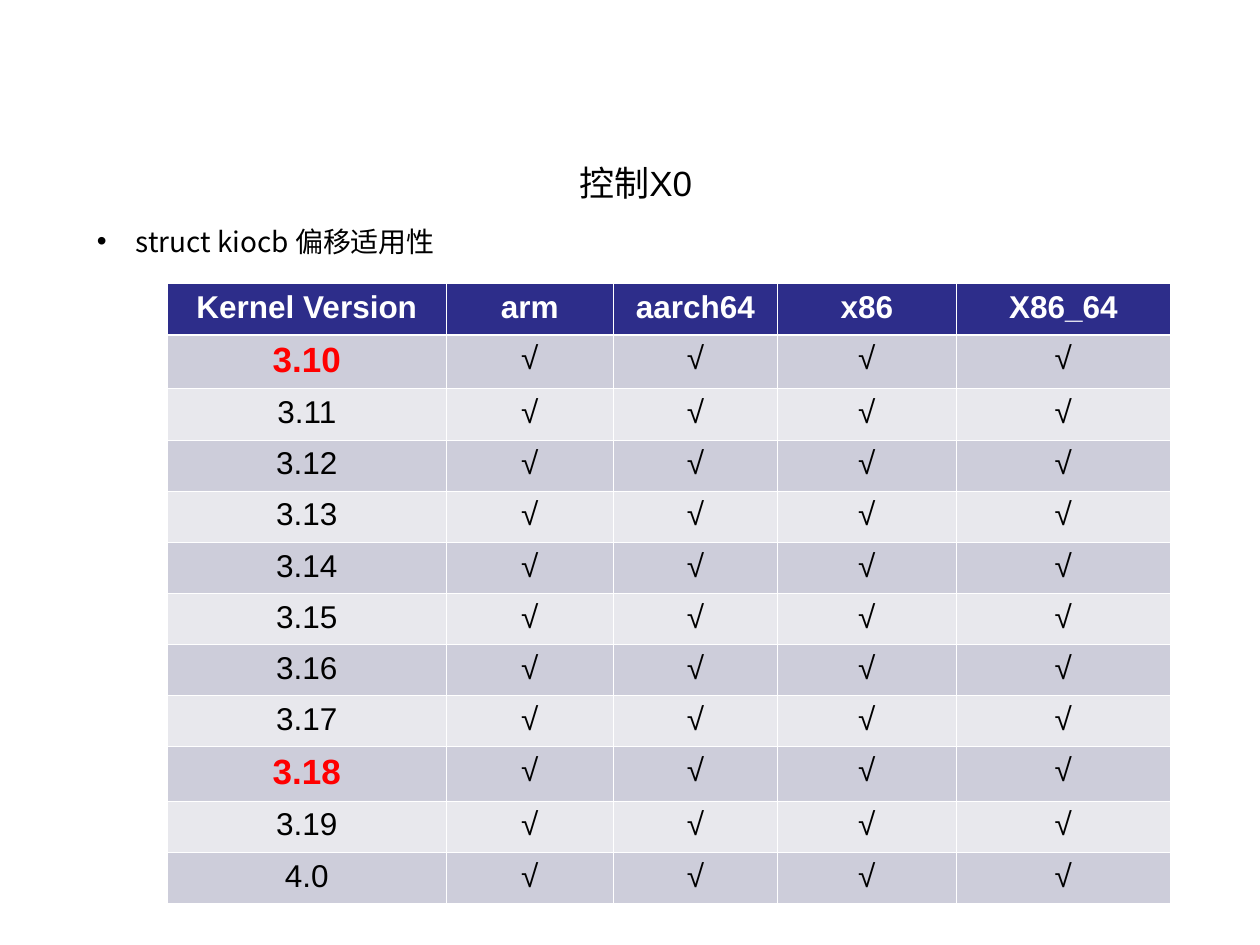
from lxml.etree import SubElement
from pptx import Presentation
from pptx.dml.color import RGBColor
from pptx.enum.text import PP_ALIGN
from pptx.oxml.ns import qn
from pptx.util import Inches, Pt

LATIN_FONT = "Arial"
CHINESE_FONT = "Noto Sans CJK SC"
BLACK, WHITE, RED = "000000", "FFFFFF", "FF0000"
HEADER_FILL, BAND_FILLS = "2D2D8A", ("CDCDDA", "E8E8ED")

HEADERS = ["Kernel Version", "arm", "aarch64", "x86", "X86_64"]
VERSIONS = [f"3.{minor}" for minor in range(10, 20)] + ["4.0"]
HIGHLIGHTED = {"3.10", "3.18"}
COLUMN_WIDTHS = [2.21, 1.33, 1.3, 1.42, 1.7]
HIGHLIGHTED_HEIGHT = 0.43


def rgb(color):
    return RGBColor.from_string(color)


def format_paragraph(paragraph, size, color=BLACK, bold=False, font=LATIN_FONT):
    for run in paragraph.runs:
        run.font.size = Pt(size)
        run.font.bold = bold
        run.font.name = font
        run.font.color.rgb = rgb(color)
        east_asian = SubElement(run.font._element, qn("a:ea"))
        east_asian.set("typeface", CHINESE_FONT)


def add_text(slide, box, text):
    """Add a one-paragraph text box and return its paragraph."""
    text_frame = slide.shapes.add_textbox(*map(Inches, box)).text_frame
    text_frame.word_wrap = True
    text_frame.text = text
    return text_frame.paragraphs[0]


def add_title(slide, box):
    paragraph = add_text(slide, box, "控制X0")
    paragraph.alignment = PP_ALIGN.CENTER
    format_paragraph(paragraph, 20)


def add_bullet(slide, box):
    paragraph = add_text(slide, box, "struct kiocb 偏移适用性")
    format_paragraph(paragraph, 16, font=CHINESE_FONT)
    properties = paragraph._p.get_or_add_pPr()
    indent = Inches(0.31)
    properties.set("marL", str(indent))
    properties.set("indent", str(-indent))
    SubElement(properties, qn("a:buFont")).set("typeface", LATIN_FONT)
    SubElement(properties, qn("a:buChar")).set("char", "•")


def set_borders(cell, top, bottom):
    """Draw white cell borders; top and bottom are widths in points."""
    properties = cell._tc.get_or_add_tcPr()
    widths = {"a:lnL": 0.45, "a:lnR": 0.45, "a:lnT": top, "a:lnB": bottom}
    for position, (tag, width) in enumerate(widths.items()):
        line = properties.makeelement(qn(tag), {"w": str(Pt(width))})
        fill = SubElement(line, qn("a:solidFill"))
        SubElement(fill, qn("a:srgbClr")).set("val", WHITE)
        properties.insert(position, line)


def fill_row(table, row, texts, fill, first_style, style):
    """Write one row; the first cell may have a text style of its own."""
    for column, text in enumerate(texts):
        cell = table.cell(row, column)
        cell.text = text
        cell.fill.solid()
        cell.fill.fore_color.rgb = rgb(fill)
        set_borders(cell, 1.47 if row == 1 else 0.45, 1.47 if row == 0 else 0.45)
        paragraph = cell.text_frame.paragraphs[0]
        paragraph.alignment = PP_ALIGN.CENTER
        format_paragraph(paragraph, *(style if column else first_style))


def add_version_table(slide, box):
    row_count = len(VERSIONS) + 1
    table = slide.shapes.add_table(row_count, len(HEADERS), *map(Inches, box)).table
    for column, width in zip(table.columns, COLUMN_WIDTHS):
        column.width = Inches(width)

    plain_count = row_count - len(HIGHLIGHTED)
    plain_height = (box[3] - len(HIGHLIGHTED) * HIGHLIGHTED_HEIGHT) / plain_count
    for row, version in zip(table.rows, ["header"] + VERSIONS):
        highlighted = version in HIGHLIGHTED
        row.height = Inches(HIGHLIGHTED_HEIGHT if highlighted else plain_height)

    header_style, plain_style = (18, WHITE, True), (18, BLACK)
    fill_row(table, 0, HEADERS, HEADER_FILL, header_style, header_style)
    for index, version in enumerate(VERSIONS):
        version_style = (20, RED, True) if version in HIGHLIGHTED else plain_style
        texts = [version] + ["√"] * (len(HEADERS) - 1)
        fill_row(table, index + 1, texts, BAND_FILLS[index % 2],
                 version_style, plain_style)


def main():
    presentation = Presentation()
    presentation.slide_width = Inches(10)
    presentation.slide_height = Inches(7.5)
    slide = presentation.slides.add_slide(presentation.slide_layouts[6])
    add_version_table(slide, (1.33, 2.25, 7.95, 4.92))
    add_bullet(slide, (0.67, 1.73, 3.67, 0.42))
    add_title(slide, (1.17, 1.23, 7.75, 0.5))
    presentation.save("out.pptx")


if __name__ == "__main__":
    main()
